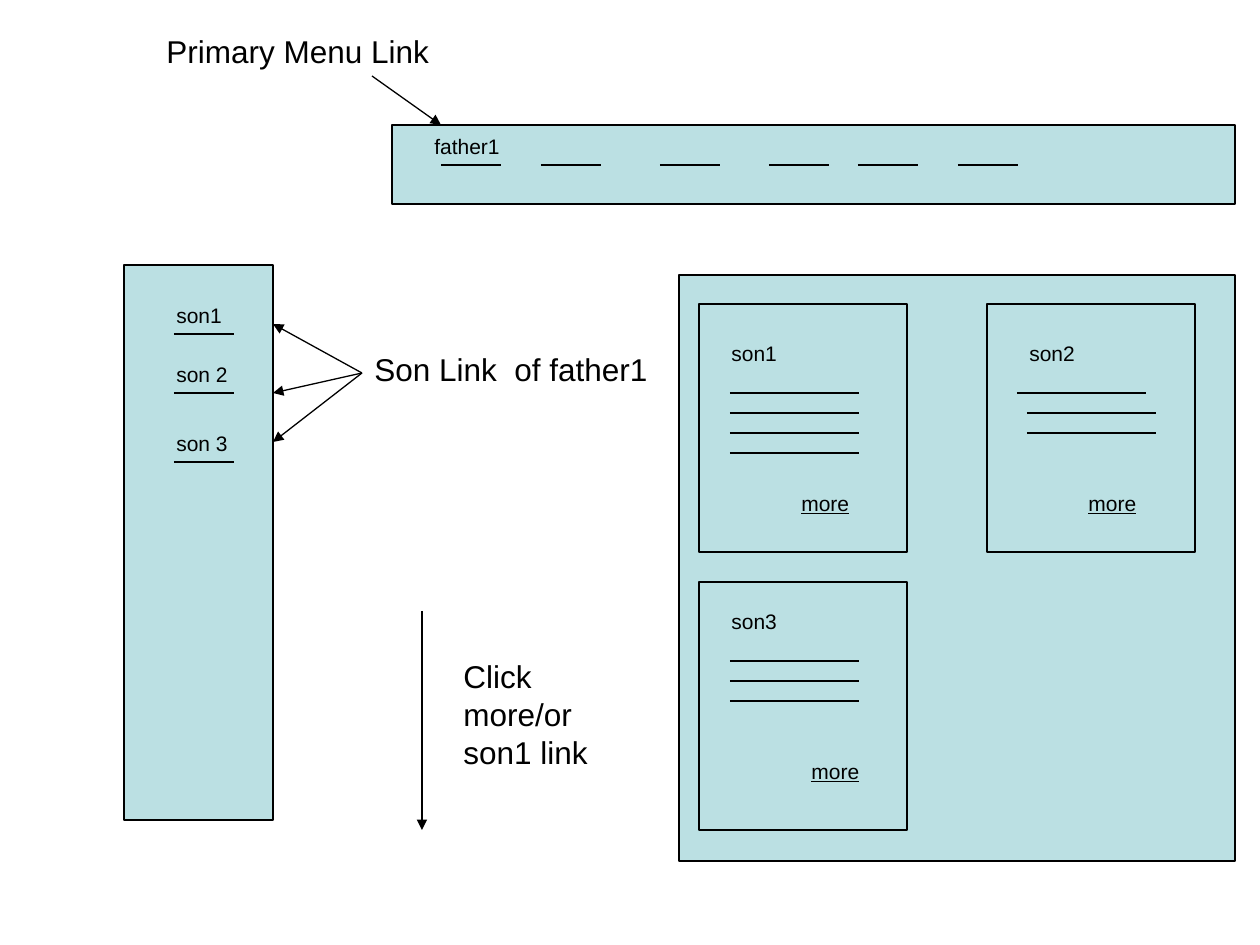
"""Build a slide that shows how primary menu links lead to son links and content cards."""

from typing import NamedTuple

from lxml import etree
from pptx import Presentation
from pptx.dml.color import RGBColor
from pptx.enum.shapes import MSO_CONNECTOR, MSO_SHAPE
from pptx.enum.text import MSO_AUTO_SIZE
from pptx.oxml.ns import qn
from pptx.slide import Slide
from pptx.util import Emu, Pt

RECTANGLE = MSO_SHAPE.RECTANGLE
STRAIGHT = MSO_CONNECTOR.STRAIGHT
FIT_SHAPE = MSO_AUTO_SIZE.SHAPE_TO_FIT_TEXT

EMU_PER_PX = 914400 / 126
FONT = "Arial"
COLORS = {"panel": "BBE0E3", "ink": "000000"}
LINE_WIDTH = Pt(0.75)
SMALL, LARGE = 12, 18
SMALL_HEIGHT = 38
LINK_WIDTH = 60
CARD_WIDTH, CARD_HEIGHT = 208, 248
CARD_LINE_WIDTH, CARD_LINE_PITCH = 129, 20


class Box(NamedTuple):
    left: int
    top: int
    width: int
    height: int


class Label(NamedTuple):
    text: str
    box: Box
    size: int = SMALL
    underline: bool = False


class Line(NamedTuple):
    start: tuple[int, int]
    end: tuple[int, int]
    arrow: bool = False


class Card(NamedTuple):
    title: str
    left: int
    top: int
    title_left: int
    line_lefts: tuple[int, ...]
    more_left: int
    content_top: int


PANELS = {
    "menu": Box(392, 125, 843, 79),
    "sidebar": Box(124, 265, 149, 555),
    "content": Box(679, 275, 556, 586),
}
MENU_LINK_LEFTS = (441, 541, 660, 769, 858, 958)
MENU_LINK_TOP = 165
SIDEBAR_LINKS = {"son1": 334, "son 2": 393, "son 3": 462}
SON_LINK_ORIGIN = (362, 373)
SON_LINK_TARGETS = (324, 393, 442)

CARDS = (
    Card("son1", 699, 304, 719, (730,) * 4, 789, 334),
    Card("son2", 987, 304, 1017, (1017, 1027, 1027), 1076, 334),
    Card("son3", 699, 582, 719, (730,) * 3, 799, 602),
)
NOTES = (
    Label("Primary Menu Link", Box(154, 26, 348, 50), LARGE),
    Label("father1", Box(422, 127, 120, SMALL_HEIGHT)),
    Label("Son Link  of father1", Box(362, 344, 307, 50), LARGE),
    Label("Click more/or son1 link", Box(451, 651, 179, 126), LARGE),
)
ARROWS = (
    Line((372, 76), (441, 125), True),
    Line((422, 611), (422, 830), True),
)


def px(length: int) -> Emu:
    """Turn pixels into EMU."""
    return Emu(round(length * EMU_PER_PX))


def color(name: str) -> RGBColor:
    """Look up a named colour."""
    return RGBColor.from_string(COLORS[name])


def draw_panel(slide: Slide, box: Box) -> None:
    """Draw a filled, outlined rectangle."""
    shape = slide.shapes.add_shape(RECTANGLE, *map(px, box))
    shape.shadow.inherit = False
    shape.fill.solid()
    shape.fill.fore_color.rgb = color("panel")
    shape.line.color.rgb = color("ink")
    shape.line.width = LINE_WIDTH


def draw_line(slide: Slide, line: Line) -> None:
    """Draw a straight line, with an arrowhead at its end if asked."""
    connector = slide.shapes.add_connector(STRAIGHT, *map(px, line.start + line.end))
    connector.line.color.rgb = color("ink")
    connector.line.width = LINE_WIDTH
    properties = connector._element.spPr
    if line.arrow:
        outline = properties.find(qn("a:ln"))
        etree.SubElement(outline, qn("a:tailEnd"), type="triangle")
    etree.SubElement(properties, qn("a:effectLst"))


def draw_label(slide: Slide, label: Label) -> None:
    """Draw a wrapped text box."""
    frame = slide.shapes.add_textbox(*map(px, label.box)).text_frame
    frame.word_wrap = True
    frame.auto_size = FIT_SHAPE
    paragraph = frame.paragraphs[0]
    paragraph.text = label.text
    paragraph.space_before = Pt(label.size * 0.62)
    paragraph.font.name = FONT
    paragraph.font.size = Pt(label.size)
    paragraph.font.color.rgb = color("ink")
    if label.underline:
        paragraph.font.underline = True


def draw_rule(slide: Slide, left: int, top: int, width: int) -> None:
    """Draw a horizontal line."""
    draw_line(slide, Line((left, top), (left + width, top)))


def draw_card(slide: Slide, card: Card) -> None:
    """Draw a content card with its title, text lines and more link."""
    draw_panel(slide, Box(card.left, card.top, CARD_WIDTH, CARD_HEIGHT))
    draw_label(slide, Label(card.title, Box(card.title_left, card.content_top, 79, SMALL_HEIGHT)))
    for index, left in enumerate(card.line_lefts):
        top = card.content_top + 59 + index * CARD_LINE_PITCH
        draw_rule(slide, left, top, CARD_LINE_WIDTH)
    more_box = Box(card.more_left, card.content_top + 150, 110, SMALL_HEIGHT)
    draw_label(slide, Label("more", more_box, underline=True))


def main() -> None:
    """Build and save the presentation."""
    presentation = Presentation()
    presentation.slide_width, presentation.slide_height = px(1260), px(945)
    slide = presentation.slides.add_slide(presentation.slide_layouts[6])

    for panel in PANELS.values():
        draw_panel(slide, panel)
    for left in MENU_LINK_LEFTS:
        draw_rule(slide, left, MENU_LINK_TOP, LINK_WIDTH)
    for text, top in SIDEBAR_LINKS.items():
        draw_rule(slide, 174, top, LINK_WIDTH)
        draw_label(slide, Label(text, Box(164, top - SMALL_HEIGHT, 100, SMALL_HEIGHT)))
    sidebar_right = PANELS["sidebar"].left + PANELS["sidebar"].width
    for target in SON_LINK_TARGETS:
        draw_line(slide, Line(SON_LINK_ORIGIN, (sidebar_right, target), True))
    for arrow in ARROWS:
        draw_line(slide, arrow)
    for card in CARDS:
        draw_card(slide, card)
    for note in NOTES:
        draw_label(slide, note)

    presentation.save("out.pptx")


if __name__ == "__main__":
    main()
